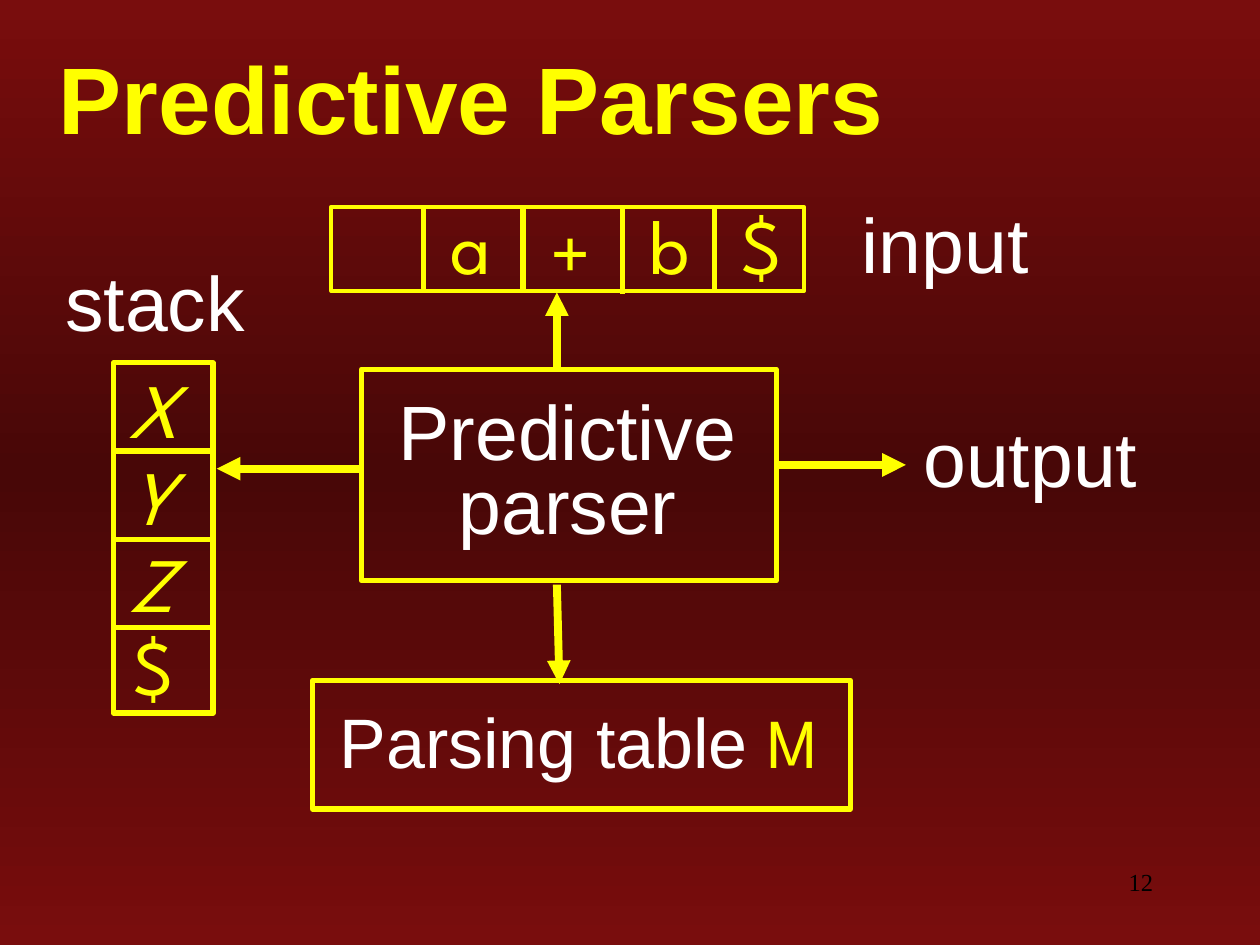
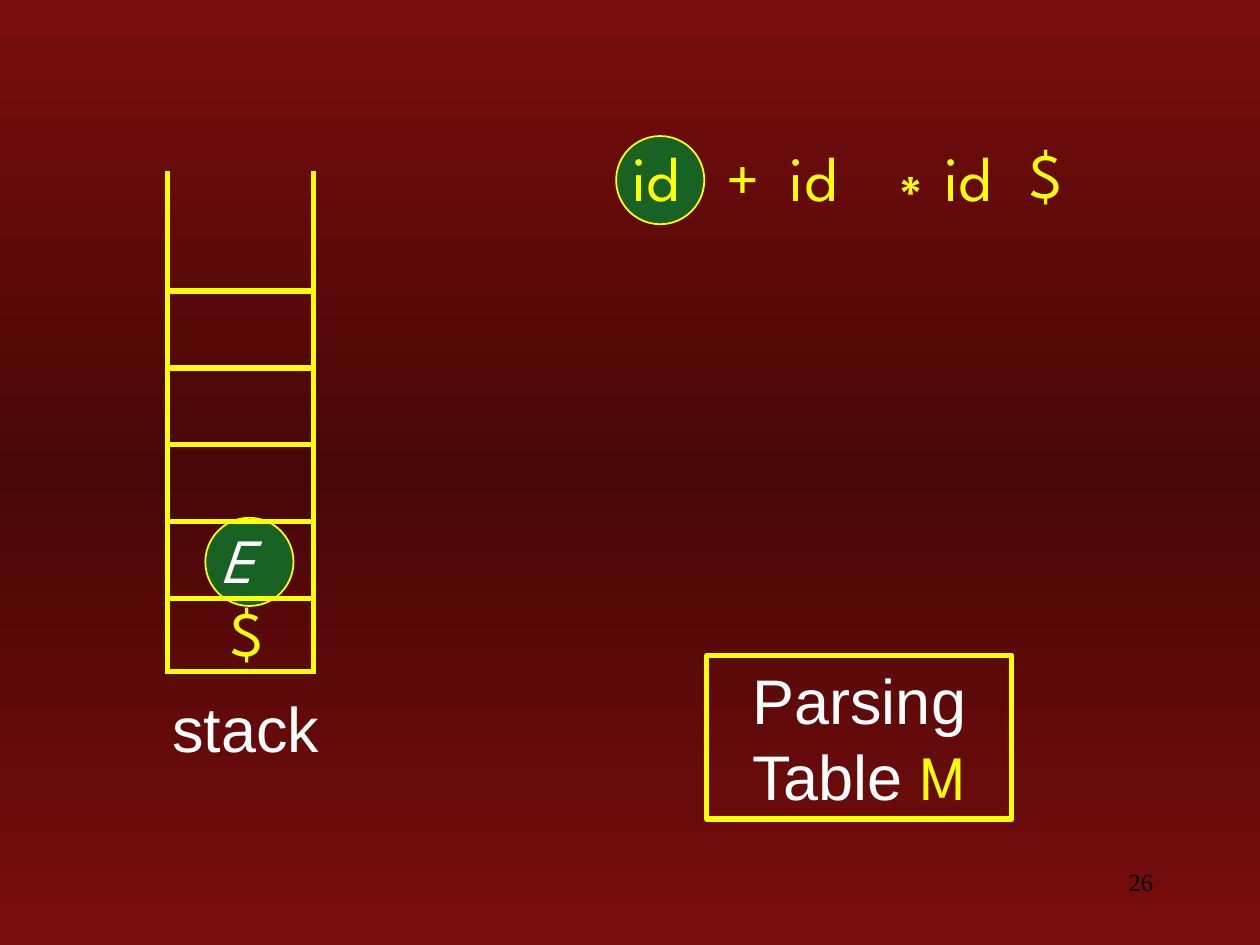
from copy import deepcopy

from pptx import Presentation
from pptx.dml.color import RGBColor
from pptx.enum.shapes import MSO_CONNECTOR, MSO_SHAPE
from pptx.enum.text import MSO_ANCHOR, PP_ALIGN
from pptx.oxml import parse_xml
from pptx.oxml.ns import nsdecls, qn
from pptx.util import Inches, Pt

RECT, OVAL = MSO_SHAPE.RECTANGLE, MSO_SHAPE.OVAL
STRAIGHT = MSO_CONNECTOR.STRAIGHT
TOP, MIDDLE = MSO_ANCHOR.TOP, MSO_ANCHOR.MIDDLE
LEFT, CENTER, RIGHT = PP_ALIGN.LEFT, PP_ALIGN.CENTER, PP_ALIGN.RIGHT

YELLOW, WHITE, BLACK, GREEN = "FFFF00", "FFFFFF", "000000", "186224"
SHADES = [(0, "790D0D"), (0.5, "480707"), (1, "790D0D")]

PLAIN = {"name": "Arial", "color": WHITE}
CODE = {"name": "League Spartan", "color": YELLOW}
SLANT = {**CODE, "italic": True}
HEAD = {"name": "Arial", "color": YELLOW, "bold": True}
FOOT = {"name": "Times New Roman", "color": BLACK}


def paint(text):
    return RGBColor.from_string(text)


def node(tag, inner="", **attrs):
    pairs = "".join(f' {key}="{value}"' for key, value in attrs.items())
    return parse_xml(f"<a:{tag} {nsdecls('a')}{pairs}>{inner}</a:{tag}>")


class Deck:
    def __init__(self):
        self.file = Presentation()
        self.file.slide_width, self.file.slide_height = Inches(10), Inches(7.5)
        self.slide = None

    def start(self, number):
        self.slide = self.file.slides.add_slide(self.file.slide_layouts[6])
        fill = self.slide.background.fill
        fill.gradient()
        fill.gradient_angle = 90
        stops = next(self.slide.element.iter(qn("a:gsLst")))
        stops.append(deepcopy(stops[0]))
        for stop, (place, shade) in zip(fill.gradient_stops, SHADES):
            stop.position = place
            stop.color.rgb = paint(shade)
        self.text((7.17, 6.83, 2.08, 0.5), [(str(number), FOOT)], 14, align=RIGHT)

    def label(self, frame, runs, size, align=LEFT, gap=None, anchor=TOP):
        frame.word_wrap = True
        frame.vertical_anchor = anchor
        para = frame.paragraphs[0]
        para.alignment = align
        para.line_spacing = gap
        for words, style in runs:
            run = para.add_run()
            run.text = words
            run.font.size = Pt(size)
            for key, value in style.items():
                if key == "color":
                    run.font.fill.solid()
                    run.font.fill.fore_color.rgb = paint(value)
                else:
                    setattr(run.font, key, value)

    def text(self, at, runs, size, **more):
        box = self.slide.shapes.add_textbox(*map(Inches, at))
        self.label(box.text_frame, runs, size, **more)
        return box

    def title(self, words):
        box = self.text((0.37, 0.35, 10, 0.83), [(words, HEAD)], 54, anchor=MIDDLE)
        shade = '<a:outerShdw dist="17961" dir="2700000"><a:srgbClr val="FFFFFF"/></a:outerShdw>'
        fill = next(box.element.iter(qn("a:solidFill")))
        fill.addnext(node("effectLst", shade))

    def shape(self, kind, at, width=3, fill=None):
        item = self.slide.shapes.add_shape(kind, *map(Inches, at))
        item.shadow.inherit = False
        item.line.color.rgb = paint(YELLOW)
        item.line.width = Pt(width)
        if fill:
            item.fill.solid()
            item.fill.fore_color.rgb = paint(fill)
        else:
            item.fill.background()
        return item

    def line(self, start, end, width=3, arrow=False):
        item = self.slide.shapes.add_connector(STRAIGHT, *map(Inches, (*start, *end)))
        item.line.color.rgb = paint(YELLOW)
        item.line.width = Pt(width)
        if arrow:
            next(item.element.iter(qn("a:ln"))).append(node("tailEnd", type="triangle"))
        item.element.spPr.append(node("effectLst"))


def draw_model(deck):
    deck.start(12)
    deck.title("Predictive Parsers")

    deck.shape(RECT, (2.63, 1.64, 3.75, 0.67), 2.25)
    for x, top in [(3.36, 1.64), (4.15, 1.64), (4.94, 1.66), (5.67, 1.64)]:
        deck.line((x, top), (x, top + 0.67))
    for sign, x, y in [("a", 3.48, 1.52), ("+", 4.27, 1.57), ("b", 5.06, 1.52), ("$", 5.79, 1.52)]:
        deck.text((x, y, 0.57, 0.84), [(sign, CODE)], 44)

    deck.shape(RECT, (0.9, 2.88, 0.79, 2.78))
    for row in range(1, 4):
        y = 2.88 + 0.7 * row
        deck.line((0.9, y), (1.69, y))
    for row, sign in enumerate("XYZ"):
        deck.text((0.93, 2.82 + 0.69 * row, 0.7, 0.84), [(sign, SLANT)], 44)
    deck.text((0.96, 4.86, 0.7, 0.84), [("$", CODE)], 44)

    for name, x, y in [("stack", 0.42, 1.97), ("input", 6.74, 1.51), ("output", 7.23, 3.21)]:
        deck.text((x, y, 2.04, 0.84), [(name, PLAIN)], 44)

    deck.shape(RECT, (2.87, 2.93, 3.29, 1.68))
    deck.text((2.73, 3.14, 3.55, 1.28), [("Predictive parser", PLAIN)], 44, align=CENTER, gap=0.8)
    deck.shape(RECT, (2.48, 5.4, 4.27, 1.02))
    deck.text((2.43, 5.62, 4.33, 0.64), [("Parsing table ", PLAIN), ("M", CODE)], 40,
              align=CENTER, gap=0.8)

    for start, end in [((4.42, 2.95), (4.42, 2.32)), ((2.86, 3.72), (1.72, 3.72)),
                       ((4.42, 4.64), (4.44, 5.43)), ((6.15, 3.69), (7.19, 3.69))]:
        deck.line(start, end, 4.5, arrow=True)


def draw_step(deck):
    deck.start(26)
    for x, y in [(4.89, 1.08), (1.63, 4.11)]:
        deck.shape(OVAL, (x, y, 0.7, 0.7), 1, GREEN)

    for x in (1.33, 2.49):
        deck.line((x, 1.36), (x, 5.35))
    for y in [2.31 + 0.61 * row for row in range(5)] + [5.33]:
        deck.line((1.31, y), (2.5, y))
    deck.text((1.65, 4.08, 0.74, 0.7), [("E", {**SLANT, "color": WHITE})], 36)
    deck.text((1.73, 4.66, 0.53, 0.7), [("$", CODE)], 36)
    deck.text((1.27, 5.42, 1.42, 0.7), [("stack", PLAIN)], 36)

    star = {**PLAIN, "color": YELLOW}
    for sign, x, y, style in [("id", 4.92, 1.05, CODE), ("+", 5.67, 1.05, CODE),
                              ("id", 6.17, 1.05, CODE), ("∗", 6.88, 1.05, star),
                              ("id", 7.4, 1.05, CODE), ("$", 8.07, 1.03, CODE)]:
        deck.text((x, y, 0.74, 0.7), [(sign, style)], 36)

    table = deck.shape(RECT, (5.61, 5.2, 2.42, 1.3))
    deck.label(table.text_frame, [("Parsing Table ", PLAIN), ("M", CODE)], 36,
               align=CENTER, anchor=MIDDLE)


def main():
    deck = Deck()
    draw_model(deck)
    draw_step(deck)
    deck.file.save("out.pptx")


if __name__ == "__main__":
    main()
